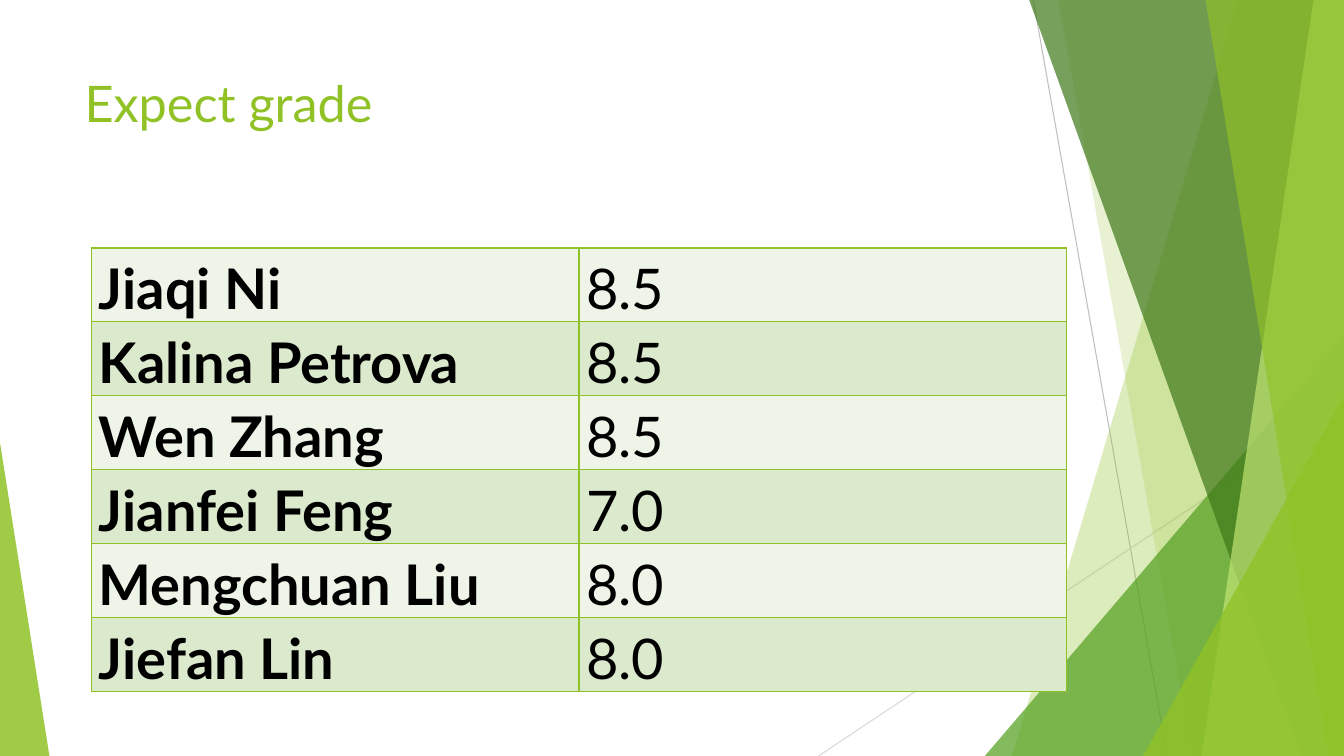
from dataclasses import dataclass

from lxml.etree import SubElement
from pptx import Presentation
from pptx.dml.color import RGBColor
from pptx.enum.shapes import MSO_CONNECTOR, MSO_SHAPE
from pptx.enum.text import MSO_ANCHOR, PP_ALIGN
from pptx.oxml import parse_xml
from pptx.oxml.ns import nsdecls, qn
from pptx.shapes.autoshape import Shape
from pptx.slide import Slide
from pptx.table import _Cell
from pptx.text.text import TextFrame
from pptx.util import Emu, Inches, Pt

WIDTH, HEIGHT = Inches(13.333), Inches(7.5)


@dataclass(frozen=True)
class Theme:
    font: str = "Lato"
    title_size: int = 36
    grade_size: int = 40
    border_width: int = 1
    ray_width: float = 0.75
    green: str = "90C226"
    leaf: str = "54A021"
    forest: str = "3F7819"
    lime: str = "C0E474"
    text: str = "000000"
    bands: tuple[str, str] = ("EEF4E8", "DBE9CD")
    grey: str = "BFBFBF"
    pale_grey: str = "D9D9D9"


THEME = Theme()


# All positions below are percentages of the slide's width or height.
@dataclass(frozen=True)
class Ray:
    start: tuple[float, float]
    end: tuple[float, float]
    color: str


@dataclass(frozen=True)
class Blade:
    """Full-height panel that reaches the right edge of the slide."""
    top_left: float
    bottom_left: float
    color: str
    opacity: int


@dataclass(frozen=True)
class Corner:
    """Triangle standing on the bottom edge; apex 0 is left, 1 is right."""
    left: float
    top: float
    width: float
    apex: int
    color: str
    opacity: int


@dataclass(frozen=True)
class Grade:
    student: str
    score: str


RAYS = (
    Ray((76.88, 0), (86.85, 100), THEME.grey),
    Ray((100, 53.73), (60.9, 100), THEME.pale_grey),
)
FACETS: tuple[Blade | Corner, ...] = (
    Blade(92.1, 75.3, THEME.green, 30),
    Blade(78.75, 88.73, THEME.green, 20),
    Corner(73.28, 44.4, 26.72, 1, THEME.leaf, 72),
    Blade(76.58, 96.83, THEME.forest, 70),
    Blade(97.73, 89.4, THEME.lime, 70),
    Blade(89.7, 98.85, THEME.green, 65),
    Corner(85.05, 52.4, 14.95, 1, THEME.green, 80),
    Corner(0, 58.53, 3.68, 0, THEME.green, 85),
)
GRADES = (
    Grade("Jiaqi Ni", "8.5"),
    Grade("Kalina Petrova", "8.5"),
    Grade("Wen Zhang", "8.5"),
    Grade("Jianfei Feng", "7.0"),
    Grade("Mengchuan Liu", "8.0"),
    Grade("Jiefan Lin", "8.0"),
)


def across(percent: float) -> Emu:
    return Emu(round(WIDTH * percent / 100))


def down(percent: float) -> Emu:
    return Emu(round(HEIGHT * percent / 100))


def draw_ray(slide: Slide, ray: Ray) -> None:
    (x1, y1), (x2, y2) = ray.start, ray.end
    connector = slide.shapes.add_connector(
        MSO_CONNECTOR.STRAIGHT, across(x1), down(y1), across(x2), down(y2))
    connector.line.color.rgb = RGBColor.from_string(ray.color)
    connector.line.width = Pt(THEME.ray_width)
    SubElement(connector._element.spPr, qn("a:effectLst"))


def blade_shape(slide: Slide, blade: Blade) -> Shape:
    outline = slide.shapes.build_freeform(across(blade.top_left), 0)
    outline.add_line_segments([
        (across(100), 0), (across(100), down(100)),
        (across(blade.bottom_left), down(100))])
    return outline.convert_to_shape()


def corner_shape(slide: Slide, corner: Corner) -> Shape:
    triangle = slide.shapes.add_shape(
        MSO_SHAPE.ISOSCELES_TRIANGLE, across(corner.left), down(corner.top),
        across(corner.width), down(100 - corner.top))
    triangle.adjustments[0] = corner.apex
    return triangle


def draw_facet(slide: Slide, facet: Blade | Corner) -> None:
    draw = blade_shape if isinstance(facet, Blade) else corner_shape
    shape = draw(slide, facet)
    shape.shadow.inherit = False
    shape.line.fill.background()
    shape.fill.solid()
    shape.fill.fore_color.rgb = RGBColor.from_string(facet.color)
    color = shape._element.spPr.find(f"{qn('a:solidFill')}/{qn('a:srgbClr')}")
    SubElement(color, qn("a:alpha"), val=str(facet.opacity * 1000))


def write(frame: TextFrame, text: str, size: int, color: str,
          bold: bool = False) -> None:
    run = frame.paragraphs[0].add_run()
    run.text = text
    run.font.name = THEME.font
    run.font.size = Pt(size)
    run.font.bold = bold
    run.font.color.rgb = RGBColor.from_string(color)


def add_borders(cell: _Cell) -> None:
    properties = cell._tc.get_or_add_tcPr()
    for position, side in enumerate(("lnL", "lnR", "lnT", "lnB")):
        properties.insert(position, parse_xml(
            f'<a:{side} {nsdecls("a")} w="{Pt(THEME.border_width)}"><a:solidFill>'
            f'<a:srgbClr val="{THEME.green}"/></a:solidFill></a:{side}>'))


def fill_cell(cell: _Cell, text: str, band: str, bold: bool) -> None:
    cell.margin_left = cell.margin_right = Inches(0.07)
    cell.margin_top = cell.margin_bottom = 0
    cell.fill.solid()
    cell.fill.fore_color.rgb = RGBColor.from_string(band)
    add_borders(cell)
    paragraph = cell.text_frame.paragraphs[0]
    paragraph.alignment = PP_ALIGN.JUSTIFY
    paragraph.line_spacing = 1.1
    write(cell.text_frame, text, THEME.grade_size, THEME.text, bold)


def draw_title(slide: Slide, text: str) -> None:
    frame = slide.shapes.add_textbox(
        across(5.55), down(8.93), across(70.5), down(19.2)).text_frame
    frame.word_wrap = True
    frame.vertical_anchor = MSO_ANCHOR.TOP
    write(frame, text, THEME.title_size, THEME.green)


def draw_grades(slide: Slide) -> None:
    table = slide.shapes.add_table(
        len(GRADES), 2, across(6.83), down(32.8), across(72.5), down(58.67)).table
    table.first_row = table.horz_banding = False
    for row, grade in enumerate(GRADES):
        band = THEME.bands[row % 2]
        fill_cell(table.cell(row, 0), grade.student, band, bold=True)
        fill_cell(table.cell(row, 1), grade.score, band, bold=False)


def main() -> None:
    deck = Presentation()
    deck.slide_width, deck.slide_height = WIDTH, HEIGHT
    slide = deck.slides.add_slide(deck.slide_layouts[6])
    for ray in RAYS:
        draw_ray(slide, ray)
    for facet in FACETS:
        draw_facet(slide, facet)
    draw_title(slide, "Expect grade")
    draw_grades(slide)
    deck.save("out.pptx")


if __name__ == "__main__":
    main()
